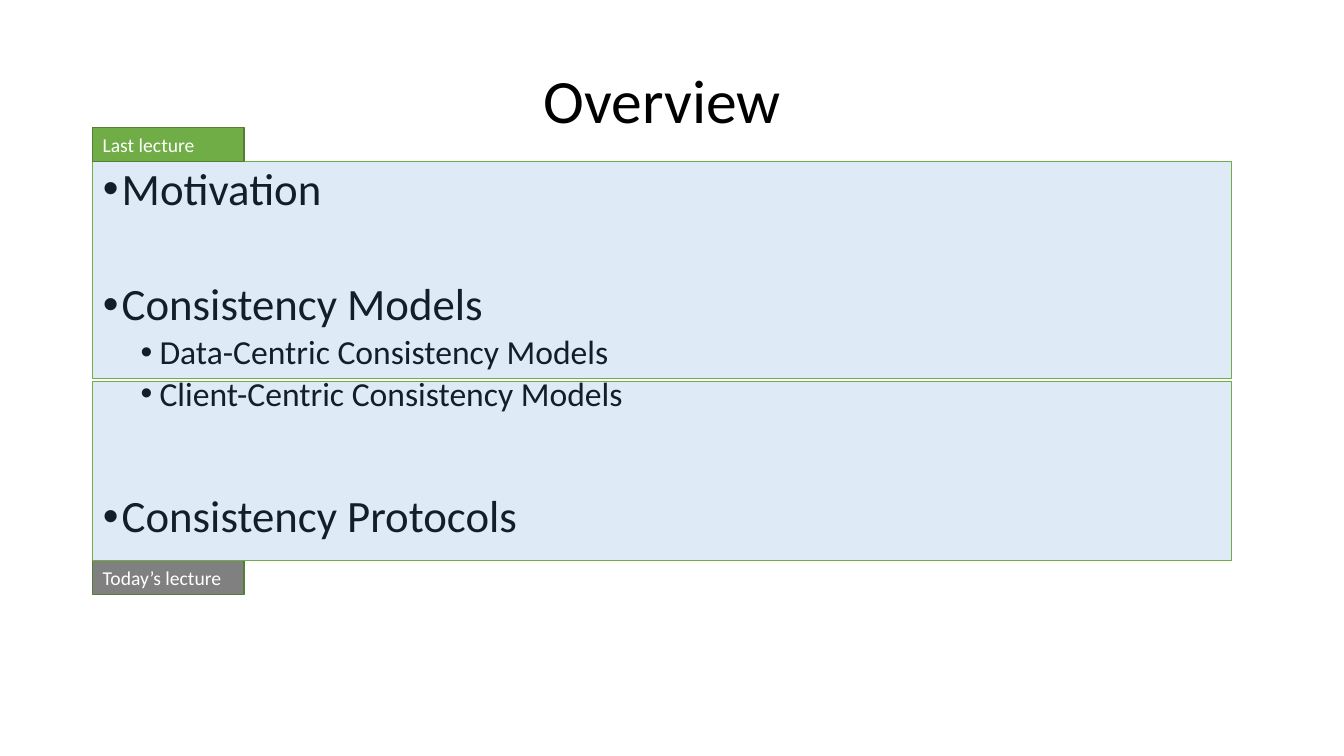
from lxml.etree import SubElement
from pptx import Presentation
from pptx.dml.color import RGBColor
from pptx.enum.shapes import MSO_SHAPE as Preset
from pptx.enum.text import MSO_ANCHOR as Anchor, MSO_AUTO_SIZE as AutoSize, PP_ALIGN as Align
from pptx.oxml.ns import qn
from pptx.util import Pt

LEFT, WIDTH, LIST_TOP = 66.24, 813.6, 115.2
TAB_WIDTH, TAB_HEIGHT = 108, 24.3
INDENT, LEVEL_STEP = 13.5, 27
TOPICS = [
    ("Motivation", 0, 7.5),
    ("Consistency Models", 0, 48),
    ("Data-Centric Consistency Models", 1, 3.8),
    ("Client-Centric Consistency Models", 1, 3.8),
    ("Consistency Protocols", 0, 57.5),
]
LEVEL_SIZES = [32, 24]


def colour(value):
    return RGBColor.from_string(value)


class LectureSlide:
    """Holds the style and the current page, with a method for each element."""

    font, ink, accent, tab_edge, band = "Calibri", "000000", "70AD47", "538035", "5B9BD5"

    def __init__(self, deck):
        self.page = deck.slides.add_slide(deck.slide_layouts[1])

    def place(self, shape, top, height):
        shape.left, shape.top = Pt(LEFT), Pt(top)
        shape.width, shape.height = Pt(WIDTH), Pt(height)

    def style(self, para, size, ink, align):
        para.alignment = align
        para.font.name, para.font.size = self.font, Pt(size)
        para.font.color.rgb = colour(ink)

    def title(self, text, top, height):
        shape = self.page.shapes.title
        self.place(shape, top, height)
        frame = shape.text_frame
        frame.text = text
        frame.vertical_anchor, frame.auto_size = Anchor.MIDDLE, AutoSize.NONE
        frame.paragraphs[0].line_spacing = 0.9
        self.style(frame.paragraphs[0], 44, self.ink, Align.CENTER)

    def topics(self, items, top, height):
        shape = self.page.placeholders[1]
        self.place(shape, top, height)
        frame = shape.text_frame
        frame.auto_size, frame.vertical_anchor = AutoSize.NONE, Anchor.TOP
        frame.text = "\n".join(text for text, _, _ in items)
        for para, (_, level, gap) in zip(frame.paragraphs, items):
            para.level, para.line_spacing = level, 0.9
            para.space_before, para.space_after = Pt(gap), Pt(0)
            self.bullet(para, INDENT + level * LEVEL_STEP)
            self.style(para, LEVEL_SIZES[level], self.ink, Align.LEFT)

    def bullet(self, para, margin):
        properties = para._p.get_or_add_pPr()
        properties.set("marL", str(Pt(margin)))
        properties.set("indent", str(-Pt(INDENT)))
        SubElement(properties, qn("a:buFont"), typeface="Arial")
        SubElement(properties, qn("a:buChar"), char="•")

    def box(self, top, width, height, fill, line, weight):
        shape = self.page.shapes.add_shape(
            Preset.RECTANGLE, Pt(LEFT), Pt(top), Pt(width), Pt(height))
        shape.shadow.inherit = False
        shape.fill.solid()
        shape.fill.fore_color.rgb = colour(fill)
        shape.line.color.rgb, shape.line.width = colour(line), Pt(weight)
        return shape

    def highlight(self, top, height):
        shape = self.box(top, WIDTH, height, self.band, self.accent, 0.5)
        tint = shape._element.spPr.find(qn("a:solidFill")).find(qn("a:srgbClr"))
        SubElement(tint, qn("a:alpha"), val="20000")

    def tab(self, text, top, fill):
        shape = self.box(top, TAB_WIDTH, TAB_HEIGHT, fill, self.tab_edge, 1)
        frame = shape.text_frame
        frame.text, frame.word_wrap = text, True
        frame.vertical_anchor = Anchor.MIDDLE
        self.style(frame.paragraphs[0], 14, "FFFFFF", Align.LEFT)


def main():
    deck = Presentation()
    deck.slide_width, deck.slide_height = Pt(960), Pt(540)
    slide = LectureSlide(deck)
    slide.title("Overview", 21.6, 104.4)
    slide.topics(TOPICS, LIST_TOP, 396)
    slide.highlight(LIST_TOP, 154.8)
    slide.tab("Last lecture", LIST_TOP - TAB_HEIGHT, slide.accent)
    slide.tab("Today’s lecture", 400.4, "808080")
    slide.highlight(272.3, 127.7)
    deck.save("out.pptx")


if __name__ == "__main__":
    main()
